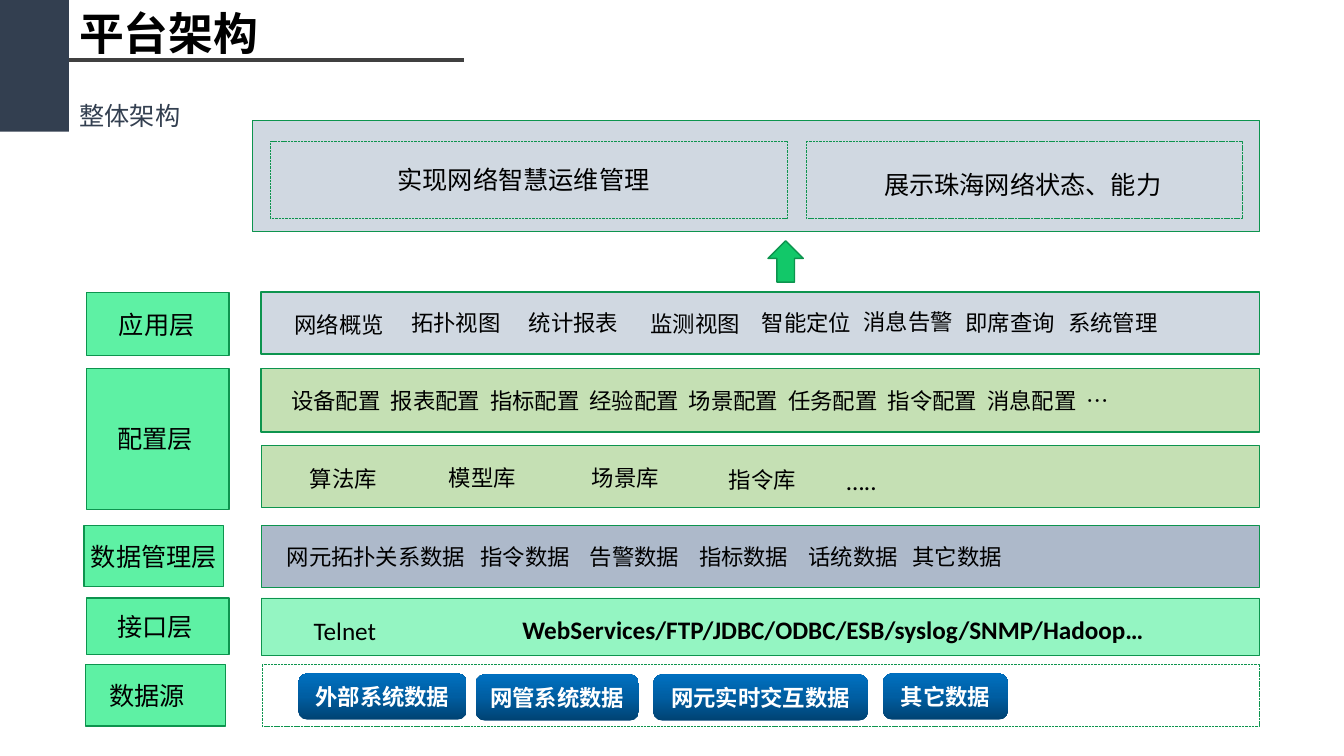
import lxml.etree
import pptx
import pptx.dml.color
import pptx.enum.dml
import pptx.enum.shapes
import pptx.enum.text
import pptx.oxml.ns
import pptx.util

Pt = pptx.util.Pt
qn = pptx.oxml.ns.qn
SHAPE = pptx.enum.shapes.MSO_SHAPE
ALIGN = pptx.enum.text.PP_ALIGN
ANCHOR = pptx.enum.text.MSO_ANCHOR
CJK = "Noto Sans CJK SC"

COLORS = {
    "navy": "333F50", "rule": "404040", "black": "000000", "white": "FFFFFF",
    "edge": "0D944E", "layer": "5EF1A4", "arrow": "12C869", "application": "D0D8E1",
    "config": "C5E0B4", "data": "ADB9CA", "interface": "94F5C2",
    "chip_bottom": "004272", "chip_middle": "005EA2", "chip_top": "0070C0",
}
ITEM_FRAME = {"margin_left": Pt(2.9), "margin_right": Pt(2.9), "margin_top": Pt(2.9),
              "margin_bottom": Pt(2.9), "vertical_anchor": ANCHOR.MIDDLE, "word_wrap": False}
LABEL_FRAME = {"margin_right": 0, "vertical_anchor": ANCHOR.MIDDLE, "word_wrap": True}
PLAIN_FRAME = {"vertical_anchor": ANCHOR.TOP, "word_wrap": True,
               "auto_size": pptx.enum.text.MSO_AUTO_SIZE.NONE}

LAYERS = [
    ("应用层", 62, 209, 101.5, 45, 23),
    ("配置层", 62, 263, 101.5, 101, 21.6),
    ("数据管理层", 60, 375.2, 99.5, 44, 5),
    ("接口层", 62, 427, 101.5, 40.5, 21.6),
    ("数据源", 61, 474.6, 100, 44, 17),
]
BANDS = [
    ("application", 180.5, 86, 719, 79.5, 1),
    ("application", 186.5, 208.5, 713, 44.5, 1),
    ("config", 186.5, 263, 713, 45.5, 1),
    ("config", 186.5, 318.2, 713, 44, 0.25),
    ("data", 186.5, 375.2, 713, 44, 0.25),
    ("interface", 186.5, 427, 713, 41, 0.25),
]
GOALS = [
    ("实现网络智慧运维管理", 193, 101, 369, 55, 91, 0),
    ("展示珠海网络状态、能力", 576, 101, 311.5, 55, 55.5, 6),
]
APPLICATIONS = [
    ("网络概览", 199.4, 215.3, 85.7), ("拓扑视图", 287.3, 213.8, 77),
    ("统计报表", 367.9, 213.8, 83.5), ("监测视图", 455.8, 214.6, 81.4),
    ("智能定位", 540.7, 213.8, 70.6), ("消息告警", 613.4, 213.1, 70.6),
    ("即席查询", 686.2, 213.8, 70.6), ("系统管理", 759.6, 213.8, 70.6),
]
LIBRARIES = [("算法库", 202.3, 325.4, 85.7), ("模型库", 301.7, 324.7, 85.7),
             ("场景库", 403.9, 324.7, 85.7), ("指令库", 501.8, 326.2, 85.7)]
SOURCES = [("外部系统数据", 213.1, 481, 120.2), ("网管系统数据", 339.8, 481.7, 116.6),
           ("网元实时交互数据", 466.6, 481.7, 153.4), ("其它数据", 630.7, 481, 89.3)]
CONFIGS = ["设备配置", "报表配置", "指标配置", "经验配置", "场景配置",
           "任务配置", "指令配置", "消息配置", "…"]
DATA_KINDS = ["网元拓扑关系数据", "指令数据", "告警数据", "指标数据", "话统数据", "其它数据"]


def rgb(color):
    return pptx.dml.color.RGBColor.from_string(COLORS[color])


def apply(target, values):
    for name, value in values.items():
        setattr(target, name, value)


def write(holder, text, size, frame, color="black", face=CJK, bold=False,
          align=ALIGN.LEFT, stops=()):
    apply(holder.text_frame, frame)
    paragraph = holder.text_frame.paragraphs[0]
    paragraph.alignment = align
    if stops:
        tabs = lxml.etree.SubElement(paragraph._p.get_or_add_pPr(), qn("a:tabLst"))
        for stop in stops:
            lxml.etree.SubElement(tabs, qn("a:tab"), pos=str(Pt(stop)), algn="l")
    run = paragraph.add_run()
    run.text = text
    apply(run.font, {"size": Pt(size), "bold": bold, "name": face})
    run.font.color.rgb = rgb(color)
    lxml.etree.SubElement(run._r.get_or_add_rPr(), qn("a:ea"), typeface=CJK)


def block(slide, kind, left, top, width, height, fill=None, line=None, dotted=False):
    shape = slide.shapes.add_shape(kind, Pt(left), Pt(top), Pt(width), Pt(height))
    shape.shadow.inherit = False
    if fill:
        shape.fill.solid()
        shape.fill.fore_color.rgb = rgb(fill)
    else:
        shape.fill.background()
    if line:
        shape.line.color.rgb = rgb("edge")
        shape.line.width = Pt(line)
    else:
        shape.line.fill.background()
    if dotted:
        shape.line.dash_style = pptx.enum.dml.MSO_LINE.SQUARE_DOT
    return shape


def item(slide, text, left, top, width, **style):
    entry = block(slide, SHAPE.ROUNDED_RECTANGLE, left, top, width, 33.1)
    entry.adjustments[0] = 0.2
    write(entry, text, 16, ITEM_FRAME, **{"align": ALIGN.CENTER, **style})
    return entry


def source_chip(slide, text, left, top, width):
    chip = item(slide, text, left, top, width, color="white", bold=True)
    chip.fill.gradient()
    chip.fill.gradient_angle = 90
    stops = chip._element.spPr.find(qn("a:gradFill")).find(qn("a:gsLst"))
    for stop in list(stops):
        stops.remove(stop)
    for place, color in ((0, "chip_bottom"), (50000, "chip_middle"), (100000, "chip_top")):
        stop = lxml.etree.SubElement(stops, qn("a:gs"), pos=str(place))
        lxml.etree.SubElement(stop, qn("a:srgbClr"), val=COLORS[color])


def tabbed_row(slide, entries, left, top, width, stops):
    row = block(slide, SHAPE.ROUNDED_RECTANGLE, left, top, width, 33.1)
    row.adjustments[0] = 0.2
    write(row, "\t".join(entries), 16, {**ITEM_FRAME, "word_wrap": True}, stops=stops)


def caption(slide, text, left, top, width, **style):
    box = slide.shapes.add_textbox(Pt(left), Pt(top), Pt(width), Pt(28.8))
    write(box, text, 18, PLAIN_FRAME, face="Calibri", **style)


def heading(slide):
    block(slide, SHAPE.RECTANGLE, 0, 0, 49.3, 94, "navy")
    rule = slide.shapes.add_connector(pptx.enum.shapes.MSO_CONNECTOR.STRAIGHT,
                                      Pt(49.3), Pt(42.8), Pt(331.2), Pt(42.8))
    rule.line.color.rgb = rgb("rule")
    rule.line.width = Pt(3)
    lxml.etree.SubElement(rule._element.spPr, qn("a:effectLst"))
    title = slide.shapes.title
    apply(title, {"left": Pt(49.3), "top": Pt(0.7), "width": Pt(145), "height": Pt(46)})
    write(title, "平台架构", 32, PLAIN_FRAME, bold=True)
    caption(slide, "整体架构", 49.7, 68.4, 310.3, color="navy")


def main():
    deck = pptx.Presentation()
    deck.slide_width, deck.slide_height = Pt(960), Pt(540)
    slide = deck.slides.add_slide(deck.slide_layouts[5])
    heading(slide)

    for fill, left, top, width, height, line in BANDS:
        block(slide, SHAPE.RECTANGLE, left, top, width, height, fill, line)
    for text, left, top, width, height, inset, drop in GOALS:
        goal = block(slide, SHAPE.RECTANGLE, left, top, width, height, None, 0.25, True)
        write(goal, text, 18, {**LABEL_FRAME, "margin_left": Pt(inset),
                               "margin_top": Pt(3.6 + drop)})
    for text, left, top, width, height, inset in LAYERS:
        layer = block(slide, SHAPE.RECTANGLE, left, top, width, height, "layer", 1)
        write(layer, text, 18, {**LABEL_FRAME, "margin_left": Pt(inset)})
    block(slide, SHAPE.UP_ARROW, 548.6, 172, 25.2, 29.5, "arrow", 1)

    for entry in APPLICATIONS + LIBRARIES:
        item(slide, *entry)
    caption(slide, "…..", 597.6, 329, 110.2)
    tabbed_row(slide, CONFIGS, 203.3, 269.3, 667.4, [71 * n for n in range(1, len(CONFIGS))])
    tabbed_row(slide, DATA_KINDS, 200, 380.9, 687, [138.4, 216.5, 294.5, 372.7, 447])
    caption(slide, "Telnet", 217, 436.3, 145.4)
    caption(slide, "WebServices/FTP/JDBC/ODBC/ESB/syslog/SNMP/Hadoop…", 366, 435.6, 476.6, bold=True)

    block(slide, SHAPE.RECTANGLE, 187.2, 474.6, 712, 44, None, 0.25, True)
    for source in SOURCES:
        source_chip(slide, *source)
    deck.save("out.pptx")


if __name__ == "__main__":
    main()
